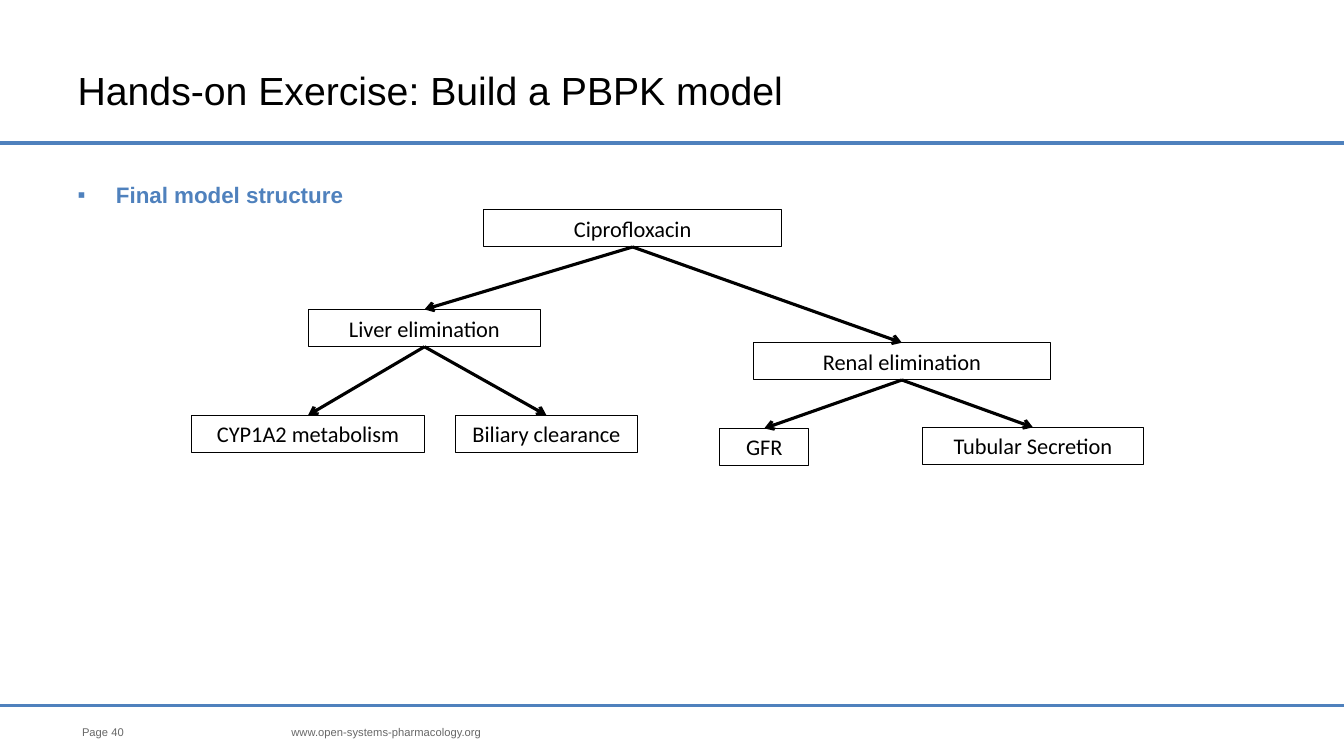
from dataclasses import dataclass

from lxml import etree
from pptx import Presentation
from pptx.dml.color import RGBColor
from pptx.enum.shapes import MSO_CONNECTOR, MSO_SHAPE
from pptx.enum.text import MSO_ANCHOR, MSO_AUTO_SIZE, PP_ALIGN
from pptx.oxml.ns import qn
from pptx.shapes.autoshape import Shape
from pptx.shapes.connector import Connector
from pptx.slide import Slide
from pptx.text.text import TextFrame
from pptx.util import Inches, Pt

LEFT, CENTER, RIGHT = PP_ALIGN.LEFT, PP_ALIGN.CENTER, PP_ALIGN.RIGHT
MIDDLE, TOP = MSO_ANCHOR.MIDDLE, MSO_ANCHOR.TOP
NO_FIT = MSO_AUTO_SIZE.NONE
STRAIGHT, RECT = MSO_CONNECTOR.STRAIGHT, MSO_SHAPE.RECTANGLE
BOTTOM_SITE, TOP_SITE = 2, 0
WIDTH, HEIGHT = 13.33, 7.5
BOX_HEIGHT = 0.37


@dataclass(frozen=True)
class Theme:
    blue: str = "4F81BD"
    black: str = "000000"
    white: str = "FFFFFF"
    gray: str = "676767"
    sans: str = "Arial"
    label: str = "Calibri"
    title: int = 28
    text: int = 16
    small: int = 8
    rule: float = 2.5
    arrow: float = 2.25
    edge: float = 0.75


@dataclass(frozen=True)
class Node:
    text: str
    left: float
    top: float
    width: float
    parent: str = ""


@dataclass(frozen=True)
class Note:
    text: str
    left: float
    width: float
    align: PP_ALIGN


THEME = Theme()

NODES = [
    Node("Ciprofloxacin", 4.8, 2.08, 2.95),
    Node("Liver elimination", 3.06, 3.07, 2.3, "Ciprofloxacin"),
    Node("Renal elimination", 7.47, 3.4, 2.95, "Ciprofloxacin"),
    Node("CYP1A2 metabolism", 1.9, 4.12, 2.31, "Liver elimination"),
    Node("Biliary clearance", 4.52, 4.12, 1.8, "Liver elimination"),
    Node("GFR", 7.14, 4.25, 0.88, "Renal elimination"),
    Node("Tubular Secretion", 9.15, 4.24, 2.19, "Renal elimination"),
]

NOTES = [
    Note("Page 40", 0.53, 0.7, RIGHT),
    Note("www.open-systems-pharmacology.org", 2.89, 6.06, LEFT),
]


def color(code: str) -> RGBColor:
    return RGBColor.from_string(code)


def write(frame: TextFrame, text: str, *, size: int, font: str = THEME.sans,
          ink: str = THEME.black, bold: bool = False, align: PP_ALIGN = LEFT,
          anchor: MSO_ANCHOR = MIDDLE, bullet: str = "") -> None:
    frame.word_wrap = True
    frame.auto_size = NO_FIT
    frame.vertical_anchor = anchor
    para = frame.paragraphs[0]
    para.text = text
    para.alignment = align
    para.space_before = Pt(0)
    if bullet:
        props = para._p.get_or_add_pPr()
        props.set("marL", str(Inches(0.38)))
        props.set("indent", str(-Inches(0.38)))
        tint = etree.SubElement(props, qn("a:buClr"))
        etree.SubElement(tint, qn("a:srgbClr"), val=ink)
        etree.SubElement(props, qn("a:buFont"), typeface=font)
        etree.SubElement(props, qn("a:buChar"), char=bullet)
    para.font.size = Pt(size)
    para.font.name = font
    para.font.bold = bold
    para.font.color.rgb = color(ink)


def place(shape: Shape, left: float, top: float, width: float, height: float) -> None:
    shape.left, shape.top = Inches(left), Inches(top)
    shape.width, shape.height = Inches(width), Inches(height)


def add_line(slide: Slide, ink: str, weight: float, top: float = 0) -> Connector:
    line = slide.shapes.add_connector(
        STRAIGHT, 0, Inches(top), Inches(WIDTH), Inches(top))
    line.line.color.rgb = color(ink)
    line.line.width = Pt(weight)
    etree.SubElement(line._element.spPr, qn("a:effectLst"))
    return line


def add_arrow(slide: Slide, parent: Shape, child: Shape) -> None:
    arrow = add_line(slide, THEME.black, THEME.arrow)
    arrow.begin_connect(parent, BOTTOM_SITE)
    arrow.end_connect(child, TOP_SITE)
    etree.SubElement(arrow.line._get_or_add_ln(), qn("a:tailEnd"), type="arrow")


def add_node(slide: Slide, node: Node) -> Shape:
    box = slide.shapes.add_shape(
        RECT, Inches(node.left), Inches(node.top), Inches(node.width), Inches(BOX_HEIGHT))
    box.shadow.inherit = False
    box.fill.solid()
    box.fill.fore_color.rgb = color(THEME.white)
    box.line.color.rgb = color(THEME.black)
    box.line.width = Pt(THEME.edge)
    write(box.text_frame, node.text, size=THEME.text, font=THEME.label, align=CENTER)
    return box


def add_note(slide: Slide, note: Note) -> None:
    frame = slide.shapes.add_textbox(
        Inches(note.left), Inches(7.03), Inches(note.width), Inches(0.47)).text_frame
    frame.margin_left = frame.margin_right = frame.margin_top = frame.margin_bottom = 0
    write(frame, note.text, size=THEME.small, ink=THEME.gray, align=note.align)


def main() -> None:
    deck = Presentation()
    deck.slide_width, deck.slide_height = Inches(WIDTH), Inches(HEIGHT)
    slide = deck.slides.add_slide(deck.slide_layouts[1])

    # Title and list
    title, body = slide.shapes.title, slide.placeholders[1]
    place(title, 0.67, 0.3, 9.99, 1.19)
    write(title.text_frame, "Hands-on Exercise: Build a PBPK model", size=THEME.title)
    place(body, 0.67, 1.75, 12, 4.95)
    write(body.text_frame, "Final model structure", size=THEME.text, ink=THEME.blue,
          bold=True, anchor=TOP, bullet="▪")

    # Header and footer rules
    for top in (1.42, 7):
        add_line(slide, THEME.blue, THEME.rule, top)

    # Model tree
    boxes: dict[str, Shape] = {}
    for node in NODES:
        boxes[node.text] = add_node(slide, node)
        if node.parent:
            add_arrow(slide, boxes[node.parent], boxes[node.text])

    # Footer
    for note in NOTES:
        add_note(slide, note)

    deck.save("out.pptx")


if __name__ == "__main__":
    main()
